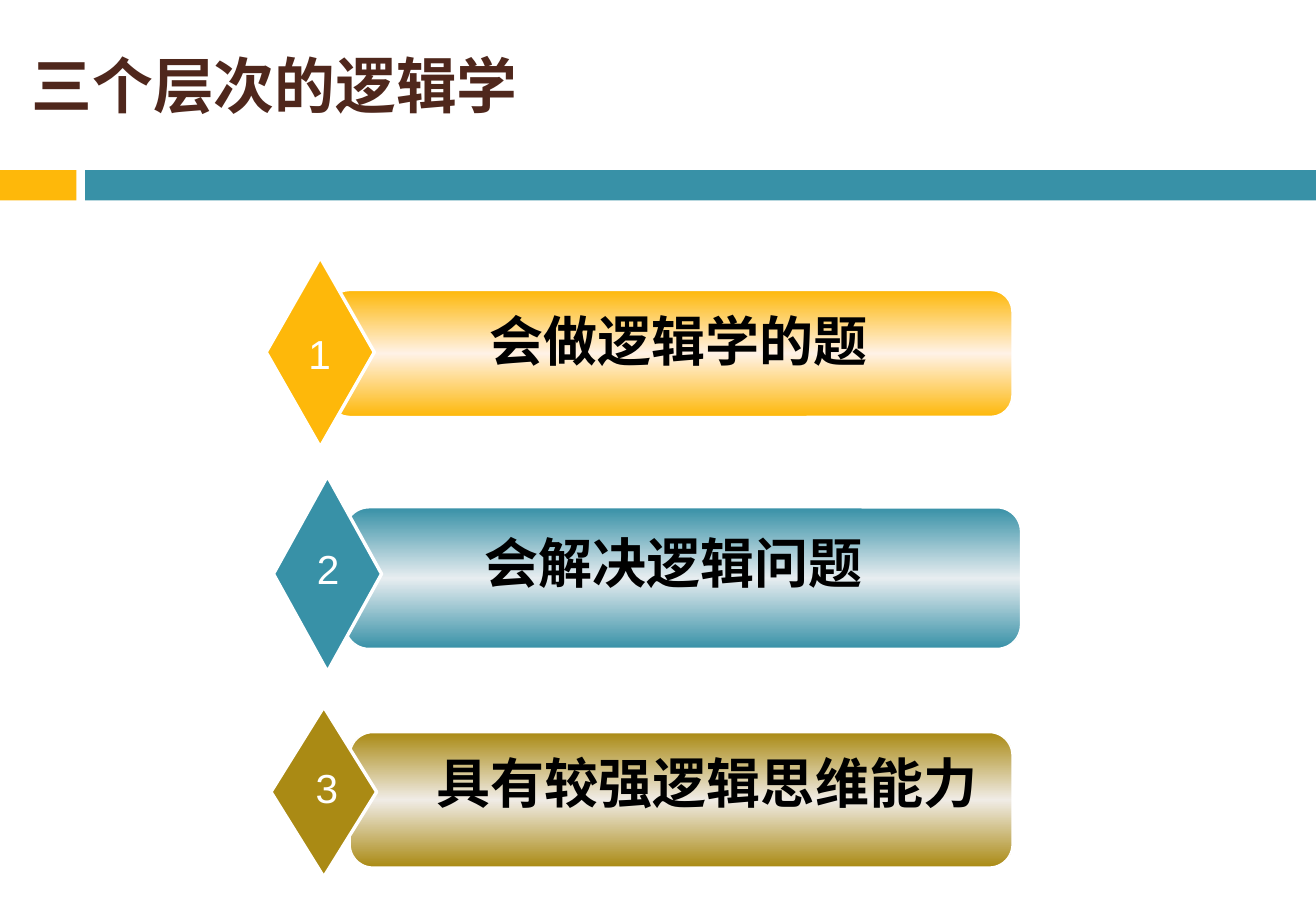
import copy

import pptx
import pptx.dml.color
import pptx.enum.shapes
import pptx.enum.text
import pptx.oxml.ns
import pptx.util
from lxml import etree

RGBColor = pptx.dml.color.RGBColor
Shape = pptx.enum.shapes.MSO_SHAPE
Align = pptx.enum.text.PP_ALIGN
Anchor = pptx.enum.text.MSO_ANCHOR
AutoSize = pptx.enum.text.MSO_AUTO_SIZE
qn = pptx.oxml.ns.qn

EMU_PER_PX = 9144  # 100 px to the inch

AMBER = RGBColor(0xFE, 0xB8, 0x0A)
AMBER_PALE = RGBColor(0xFF, 0xF2, 0xE6)
TEAL = RGBColor(0x38, 0x91, 0xA7)
TEAL_PALE = RGBColor(0xE7, 0xED, 0xF0)
OLIVE = RGBColor(0xAA, 0x8A, 0x14)
OLIVE_PALE = RGBColor(0xF0, 0xEC, 0xE6)
BROWN = RGBColor(0x4F, 0x27, 0x1C)
BLACK = RGBColor(0, 0, 0)
WHITE = RGBColor(0xFF, 0xFF, 0xFF)

# number, text, colour, pale colour, then banner, diamond, text and number boxes
LEVELS = [
    ("1", "会做逻辑学的题", AMBER, AMBER_PALE,
     (270, 239, 563, 104), (219, 212, 89, 156), (336, 257, 445, 64), (240, 266, 46, 51)),
    ("2", "会解决逻辑问题", TEAL, TEAL_PALE,
     (284, 418, 556, 116), (225, 392, 89, 161), (335, 440, 439, 64), (248, 443, 44, 51)),
    ("3", "具有较强逻辑思维能力", OLIVE, OLIVE_PALE,
     (288, 603, 545, 111), (223, 582, 87, 140), (347, 621, 470, 64), (247, 623, 44, 51)),
]


def px(*lengths):
    return [pptx.util.Emu(length * EMU_PER_PX) for length in lengths]


def write_text(frame, text, *, font, size, color, bold=False,
               align=Align.CENTER, anchor=Anchor.TOP, spacing=1.0):
    frame.word_wrap = True
    frame.vertical_anchor = anchor
    paragraph = frame.paragraphs[0]
    paragraph.alignment = align
    paragraph.line_spacing = spacing
    run = paragraph.add_run()
    run.text = text
    run.font.name = font
    run.font.size = pptx.util.Pt(size)
    run.font.bold = bold
    run.font.color.rgb = color
    # East Asian characters take their font from a:ea
    east_asian = etree.SubElement(run.font._element, qn("a:ea"))
    east_asian.set("typeface", font)


class SlideBuilder:
    def __init__(self, presentation):
        self.slide = presentation.slides.add_slide(presentation.slide_layouts[5])

    def title(self, box, text, **style):
        title = self.slide.shapes.title
        title.left, title.top, title.width, title.height = px(*box)
        write_text(title.text_frame, text, **style)

    def shape(self, parent, kind, box, color, line_width=0):
        shape = parent.shapes.add_shape(kind, *px(*box))
        shape.shadow.inherit = False
        shape.fill.solid()
        shape.fill.fore_color.rgb = color
        if line_width:
            shape.line.color.rgb = WHITE
            shape.line.width = pptx.util.Pt(line_width)
        else:
            shape.line.fill.background()
        return shape

    def banner(self, parent, box, color, pale):
        banner = self.shape(parent, Shape.ROUNDED_RECTANGLE, box, color, line_width=1)
        banner.adjustments[0] = 0.17
        banner.fill.gradient()
        banner.fill.gradient_angle = 270
        # A third stop makes the pale band in the middle
        stops = banner._element.spPr.find(".//" + qn("a:gsLst"))
        stops.append(copy.deepcopy(stops[-1]))
        for stop, position, tone in zip(
                banner.fill.gradient_stops, (0, 0.5, 1), (color, pale, color)):
            stop.position = position
            stop.color.rgb = tone

    def text(self, parent, box, text, **style):
        frame = parent.shapes.add_textbox(*px(*box)).text_frame
        frame.auto_size = AutoSize.SHAPE_TO_FIT_TEXT
        write_text(frame, text, **style)

    def level(self, number, text, color, pale, banner, diamond, text_box, number_box):
        group = self.slide.shapes.add_group_shape()
        self.banner(group, banner, color, pale)
        self.shape(group, Shape.DIAMOND, diamond, color, line_width=2)
        self.text(group, text_box, text, font="Noto Sans CJK SC", size=32,
                  color=BLACK, bold=True, spacing=0.83)
        self.text(group, number_box, number, font="Arial", size=24, color=WHITE)


def main():
    presentation = pptx.Presentation()
    presentation.slide_width, presentation.slide_height = px(1083, 750)
    builder = SlideBuilder(presentation)

    # Header bars
    builder.shape(builder.slide, Shape.RECTANGLE, (0, 140, 63, 25), AMBER)
    builder.shape(builder.slide, Shape.RECTANGLE, (70, 140, 1013, 25), TEAL)

    # Title
    builder.title((16, 40, 447, 59), "三个层次的逻辑学", font="Calibri", size=36,
                  color=BROWN, bold=True, align=Align.LEFT, anchor=Anchor.MIDDLE)

    # Three levels of logic
    for level in LEVELS:
        builder.level(*level)

    presentation.save("out.pptx")


if __name__ == "__main__":
    main()
